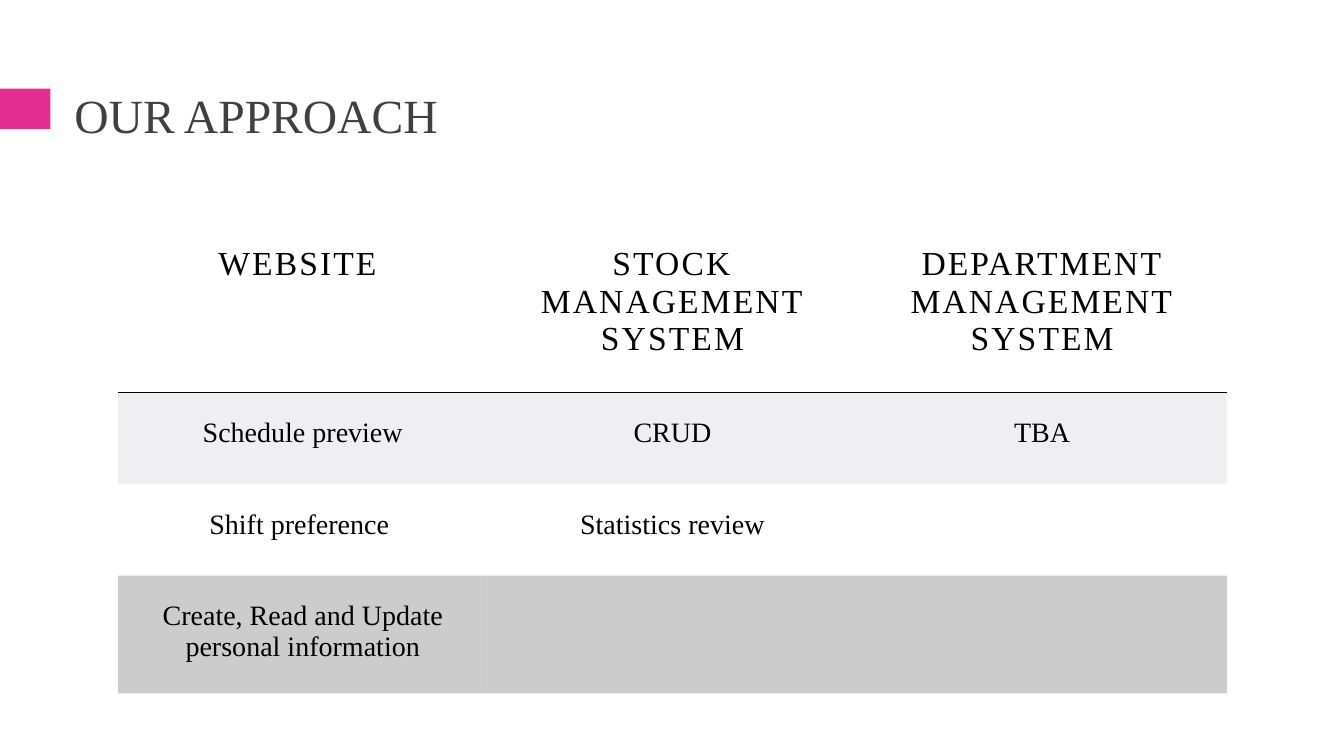
from lxml import etree
from pptx import Presentation
from pptx.dml.color import RGBColor
from pptx.enum.shapes import MSO_SHAPE
from pptx.enum.text import MSO_ANCHOR, PP_ALIGN
from pptx.oxml.ns import qn
from pptx.util import Inches, Pt

RECT = MSO_SHAPE.RECTANGLE
MIDDLE = MSO_ANCHOR.MIDDLE
LEFT, CENTER = PP_ALIGN.LEFT, PP_ALIGN.CENTER
FONT = "Times New Roman"
NO_STYLE = "{2D5ABB26-0587-4C30-8999-92F81FD0307C}"
COLORS = {"accent": "E32D91", "title": "404040", "text": "000000",
          "rule": "000000", "band": "B1B1BD", "last": "000000"}
TITLE = {"size": Pt(34), "color": "title", "align": LEFT}
HEADER = {"size": Pt(24), "color": "text", "align": CENTER, "spacing": 150}
BODY = {"size": Pt(20), "color": "text", "align": CENTER}
ROWS = [
    ["WEBSITE ", "STOCK MANAGEMENT SYSTEM", "DEPARTMENT MANAGEMENT SYSTEM"],
    ["Schedule preview", "CRUD", "TBA"],
    ["Shift preference ", "Statistics review", ""],
    ["Create, Read and Update personal information", "", ""],
]
ROW_HEIGHTS = [1.68, 0.91, 0.91, 1.11]
ROW_FILLS = [None, "band", None, "last"]


def rgb(name):
    return RGBColor.from_string(COLORS[name])


def write(tf, text, fmt):
    p = tf.paragraphs[0]
    p.alignment = fmt["align"]
    r = p.add_run()
    r.text = text
    for key, value in {"name": FONT, "size": fmt["size"], "bold": False}.items():
        setattr(r.font, key, value)
    r.font.color.rgb = rgb(fmt["color"])
    if "spacing" in fmt:
        r.font._element.set("spc", str(fmt["spacing"]))
    return p


def fill_cell(cell, name):
    if name is None:
        cell.fill.background()
        return
    cell.fill.solid()
    cell.fill.fore_color.rgb = rgb(name)
    color = cell._tc.tcPr.find(qn("a:solidFill"))[0]
    etree.SubElement(color, qn("a:alpha"), val="20000")


def add_bottom_rule(cell):
    ln = etree.Element(qn("a:lnB"), w=str(Pt(1)))
    fill = etree.SubElement(ln, qn("a:solidFill"))
    etree.SubElement(fill, qn("a:srgbClr"), val=COLORS["rule"])
    cell._tc.tcPr.insert(0, ln)


def add_title(s, x, y, w, h):
    marker = s.shapes.add_shape(RECT, 0, Inches(y + 0.11), Inches(0.5), Inches(0.4))
    marker.shadow.inherit = False
    marker.fill.solid()
    marker.fill.fore_color.rgb = rgb("accent")
    marker.line.fill.background()
    tf = s.shapes.add_textbox(Inches(x), Inches(y), Inches(w), Inches(h)).text_frame
    tf.word_wrap = True
    tf.vertical_anchor = MIDDLE
    write(tf, "OUR APPROACH", TITLE).line_spacing = 0.9


def add_approach_table(s, x, y, w):
    frame = s.shapes.add_table(len(ROWS), len(ROWS[0]), Inches(x), Inches(y),
                               Inches(w), Inches(sum(ROW_HEIGHTS)))
    table = frame.table
    table.horz_banding = False
    table.first_row = True
    table._tbl.tblPr.find(qn("a:tableStyleId")).text = NO_STYLE
    for i, texts in enumerate(ROWS):
        table.rows[i].height = Inches(ROW_HEIGHTS[i])
        for j, text in enumerate(texts):
            cell = table.cell(i, j)
            fill_cell(cell, ROW_FILLS[i])
            if i == 0:
                add_bottom_rule(cell)
            if text:
                for side in ("left", "right", "top", "bottom"):
                    setattr(cell, f"margin_{side}", Inches(0.25))
                write(cell.text_frame, text, BODY if i else HEADER)
    table.cell(3, 1).merge(table.cell(3, 2))


def main():
    prs = Presentation()
    prs.slide_width, prs.slide_height = Inches(13.33), Inches(7.5)
    s = prs.slides.add_slide(prs.slide_layouts[6])
    add_title(s, 0.64, 0.77, 12.06, 0.81)
    add_approach_table(s, 1.17, 2.19, 11)
    prs.save("out.pptx")


if __name__ == "__main__":
    main()
